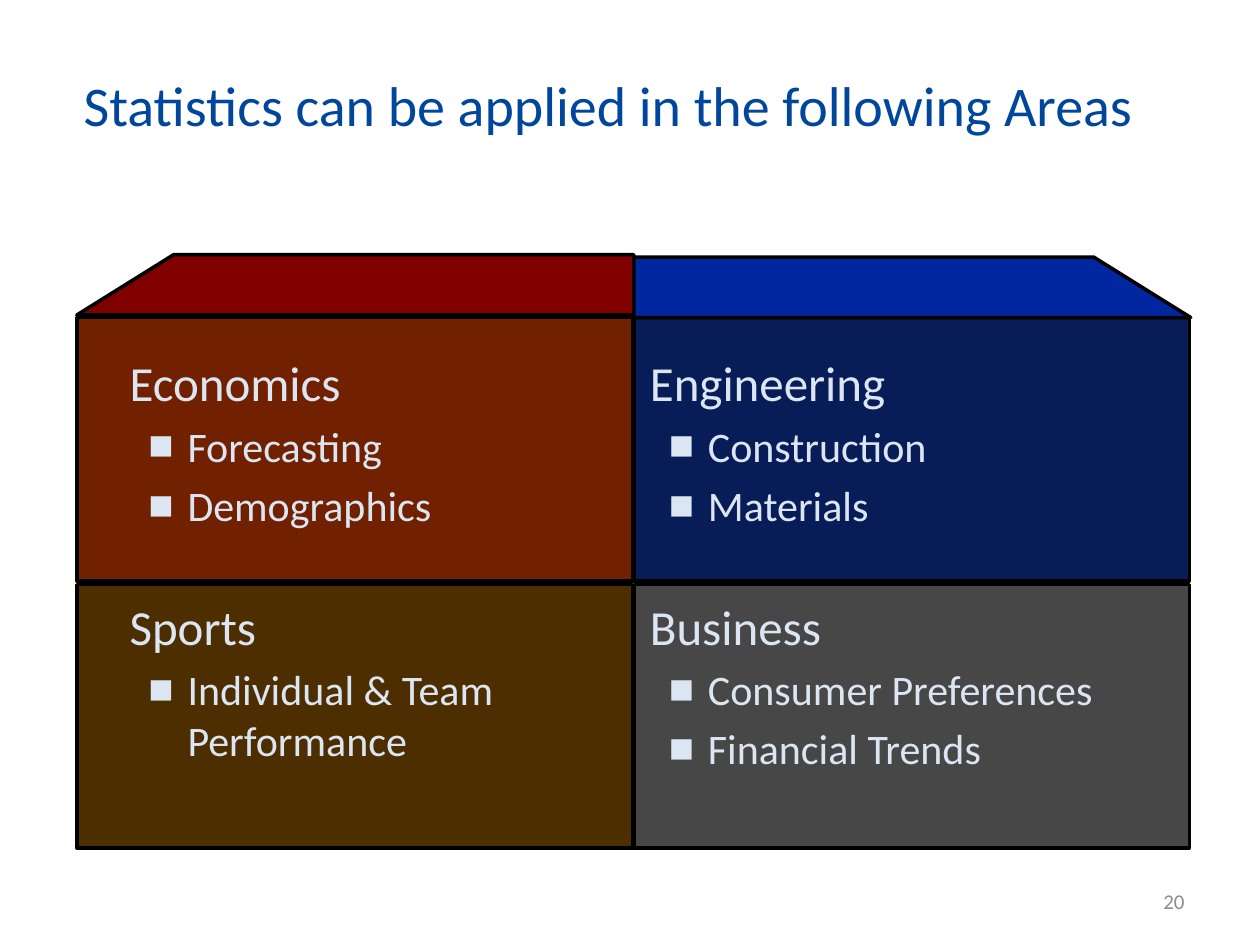
from lxml import etree
from pptx import Presentation
from pptx.dml.color import RGBColor
from pptx.enum.shapes import MSO_SHAPE
from pptx.enum.text import MSO_ANCHOR, PP_ALIGN
from pptx.oxml.ns import qn
from pptx.util import Inches, Pt

RECT = MSO_SHAPE.RECTANGLE
MID = MSO_ANCHOR.MIDDLE
TOP = MSO_ANCHOR.TOP
LEFT, MIDDLE, RIGHT = PP_ALIGN.LEFT, PP_ALIGN.CENTER, PP_ALIGN.RIGHT

HUES = {
    "rust": "712000", "navy": "081D58", "brown": "4C2E00", "gray": "474747",
    "red": "800000", "blue": "00279F", "black": "000000",
    "title": "00469C", "pale": "DCE6F2", "number": "8C8C8C",
}
TITLE = "Statistics can be applied in the following Areas"
NUMBER = "20"
COLUMNS = [
    {"lid": "red", "lid_top": 2.02, "text": (0.58, 4.21), "areas": [
        ("Economics", "rust", ["Forecasting", "Demographics"]),
        ("Sports", "brown", ["Individual & Team Performance"])]},
    {"lid": "blue", "lid_top": 2.04, "text": (4.71, 4.88), "areas": [
        ("Engineering", "navy", ["Construction", "Materials"]),
        ("Business", "gray", ["Consumer Preferences", "Financial Trends"])]},
]
X, Y = 0.61, 2.52
WIDE, HIGH = 4.41, 2.09
STEP_X, STEP_Y = 4.42, 2.12
LID, SLANT = 0.48, 0.77
TEXT_TOP, TEXT_HIGH = 2.75, 4.5


def color(name):
    return RGBColor.from_string(HUES[name])


def paint(shape, hue):
    shape.shadow.inherit = False
    shape.fill.solid()
    shape.fill.fore_color.rgb = color(hue)
    shape.line.color.rgb = color("black")
    shape.line.width = Pt(2)


def write(frame, text, size=24, hue="pale", align=LEFT, anchor=TOP,
          before=0, margin=0, indent=0, bullet=None, first=False):
    frame.word_wrap = True
    frame.vertical_anchor = anchor
    para = frame.paragraphs[0] if first else frame.add_paragraph()
    para.alignment = align
    para.space_before = Pt(before)
    run = para.add_run()
    run.text = text
    run.font.name = "Calibri"
    run.font.size = Pt(size)
    run.font.color.rgb = color(hue)
    props = para._p.get_or_add_pPr()
    props.set("marL", str(Inches(margin)))
    props.set("indent", str(Inches(indent)))
    if bullet:
        etree.SubElement(props, qn("a:buFont")).set("typeface", "Arial")
        etree.SubElement(props, qn("a:buChar")).set("char", bullet)


def box(slide, x, y, w, h):
    return slide.shapes.add_textbox(
        Inches(x), Inches(y), Inches(w), Inches(h)).text_frame


def main():
    deck = Presentation()
    deck.slide_width, deck.slide_height = Inches(10), Inches(7.5)
    slide = deck.slides.add_slide(deck.slide_layouts[5])

    title = slide.shapes.title
    title.left, title.top = Inches(0.33), Inches(0.33)
    title.width, title.height = Inches(9), Inches(1)
    write(title.text_frame, TITLE, size=32, hue="title", align=MIDDLE,
          anchor=MID, first=True)

    for col, part in enumerate(COLUMNS):
        x = X + col * STEP_X
        for row, (_, hue, _) in enumerate(part["areas"]):
            tile = slide.shapes.add_shape(
                RECT, Inches(x), Inches(Y + row * STEP_Y),
                Inches(WIDE), Inches(HIGH))
            paint(tile, hue)

        inner = X + STEP_X
        outer = X + col * 2 * STEP_X
        tip = outer + (SLANT if col == 0 else -SLANT)
        top = part["lid_top"]
        base = top + LID
        path = slide.shapes.build_freeform(
            Inches(tip), Inches(top), scale=1.0)
        path.add_line_segments(
            [(Inches(a), Inches(b)) for a, b in
             ((inner, top), (inner, base), (outer, base))], close=True)
        paint(path.convert_to_shape(), part["lid"])

    for part in COLUMNS:
        left, wide = part["text"]
        frame = box(slide, left, TEXT_TOP, wide, TEXT_HIGH)
        for row, (name, _, items) in enumerate(part["areas"]):
            write(frame, name, size=28, margin=0.35, first=row == 0,
                  before=38 if row else 5)
            for item in items:
                write(frame, item, before=5, margin=0.81, indent=-0.31,
                      bullet="■")

    write(box(slide, 7.17, 6.95, 2.33, 0.4), NUMBER, size=12, hue="number",
          align=RIGHT, anchor=MID, first=True)
    deck.save("out.pptx")


if __name__ == "__main__":
    main()
